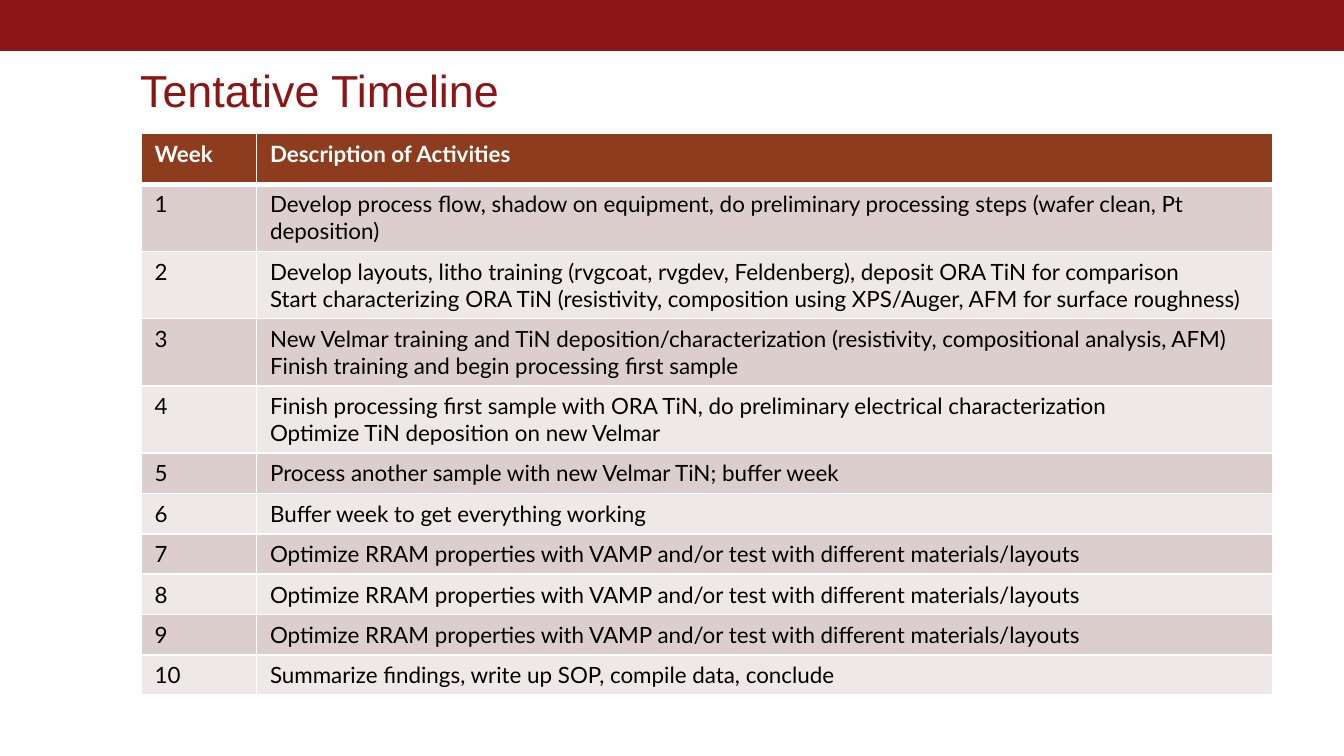
from collections import namedtuple

from lxml.etree import SubElement as Sub
from pptx import Presentation
from pptx.dml.color import RGBColor as RGB
from pptx.enum.shapes import MSO_SHAPE as Shape
from pptx.enum.text import MSO_ANCHOR as Anchor
from pptx.oxml.ns import qn
from pptx.util import Cm, Pt

Theme = namedtuple("Theme", "red head dark light white black big body sans lato")
theme = Theme(red="8C1515", head="8D3C1E", dark="DBCECD", light="EEE8E8",
              white="FFFFFF", black="000000", big=24, body=12,
              sans="Arial", lato="Lato")


def write(frame, text, font=theme.lato, size=theme.body, color=theme.black,
          bold=False, space=None):
    """Fill a text frame, one paragraph for each line."""
    for i, line in enumerate(text.split("\n")):
        para = frame.add_paragraph() if i else frame.paragraphs[0]
        para.line_spacing = space
        run = para.add_run()
        run.text = line
        run.font.name = font
        run.font.size = Pt(size)
        run.font.bold = bold
        run.font.color.rgb = RGB.from_string(color)


def edge(cell, side, width):
    """Draw one white border of a cell."""
    line = Sub(cell._tc.get_or_add_tcPr(), qn(f"a:ln{side}"), w=str(Pt(width)))
    Sub(Sub(line, qn("a:solidFill")), qn("a:srgbClr"), val=theme.white)


# Slide
deck = Presentation()
deck.slide_width, deck.slide_height = Cm(25.4), Cm(14.29)
slide = deck.slides.add_slide(deck.slide_layouts[6])

# Top band
band = slide.shapes.add_shape(Shape.RECTANGLE, Cm(-0.02), 0, Cm(25.42), Cm(0.96))
band.shadow.inherit = False
band.fill.solid()
band.fill.fore_color.rgb = band.line.color.rgb = RGB.from_string(theme.red)
band.line.width = Pt(0.75)

# Title
title = slide.shapes.add_textbox(Cm(2.65), Cm(1), Cm(21.41), Cm(1.34))
frame = title.text_frame
frame.word_wrap = True
frame.vertical_anchor = Anchor.BOTTOM
frame.margin_left = 0
write(frame, "Tentative Timeline", font=theme.sans, size=theme.big,
      color=theme.red, space=0.85)

# Timeline: each week's tasks and its height in lines
tune = "Optimize RRAM properties with VAMP and/or test with different materials/layouts"
weeks = [
    ("Develop process flow, shadow on equipment, do preliminary processing steps "
     "(wafer clean, Pt deposition)", 2),
    ("Develop layouts, litho training (rvgcoat, rvgdev, Feldenberg), "
     "deposit ORA TiN for comparison\n"
     "Start characterizing ORA TiN (resistivity, composition using XPS/Auger, "
     "AFM for surface roughness)", 2),
    ("New Velmar training and TiN deposition/characterization "
     "(resistivity, compositional analysis, AFM)\n"
     "Finish training and begin processing first sample", 2),
    ("Finish processing first sample with ORA TiN, "
     "do preliminary electrical characterization\n"
     "Optimize TiN deposition on new Velmar", 2),
    ("Process another sample with new Velmar TiN; buffer week", 1),
    ("Buffer week to get everything working", 1),
    (tune, 1),
    (tune, 1),
    (tune, 1),
    ("Summarize findings, write up SOP, compile data, conclude", 1),
]
rows = [("Week", "Description of Activities", Cm(0.96))]
rows += [(str(n), text, Cm(0.25 + 0.51 * lines))
         for n, (text, lines) in enumerate(weeks, 1)]

# Table
high = sum(row[2] for row in rows)
grid = slide.shapes.add_table(len(rows), 2, Cm(2.67), Cm(2.52), Cm(21.38), high).table
grid.first_row = grid.horz_banding = False
grid.columns[0].width, grid.columns[1].width = Cm(2.18), Cm(19.2)

for r, (week, text, tall) in enumerate(rows):
    grid.rows[r].height = tall
    top = r == 0
    fill = theme.head if top else theme.dark if r % 2 else theme.light
    for c, words in enumerate((week, text)):
        cell = grid.cell(r, c)
        for side in "LRTB":
            thick = (r, side) in ((0, "B"), (1, "T"))
            edge(cell, side, 3 if thick else 1)
        cell.fill.solid()
        cell.fill.fore_color.rgb = RGB.from_string(fill)
        write(cell.text_frame, words, bold=top,
              color=theme.white if top else theme.black)

deck.save("out.pptx")
